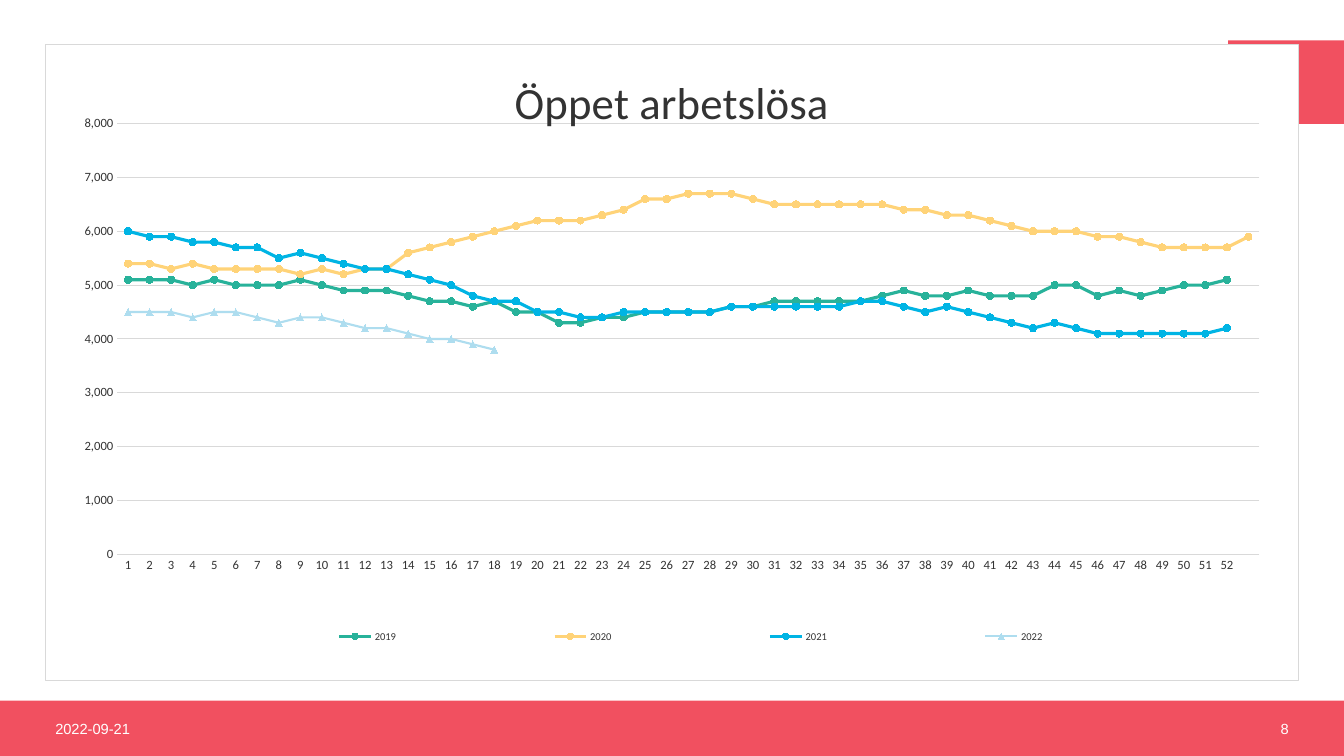
import pptx
import pptx.chart.data
import pptx.dml.color
import pptx.enum.chart
import pptx.enum.shapes
import pptx.enum.text
import pptx.oxml
import pptx.oxml.ns
import pptx.util

SLIDE_W, SLIDE_H = 13.33, 7.5
MARGIN = 0.45
FOOTER_TOP, FOOTER_H = 6.95, 0.55
COLORS = {
    "accent": "F15060", "white": "FFFFFF", "text": "333333", "grid": "D9D9D9",
    "2019": "28B29A", "2020": "FFD378", "2021": "00B4E4", "2022": "AEDDEF",
}
# Open unemployment per week, in hundreds of people
WEEKLY_HUNDREDS = {
    "2019": [51, 51, 51, 50, 51, 50, 50, 50, 51, 50, 49, 49, 49, 48, 47, 47, 46, 47,
             45, 45, 43, 43, 44, 44, 45, 45, 45, 45, 46, 46, 47, 47, 47, 47, 47, 48,
             49, 48, 48, 49, 48, 48, 48, 50, 50, 48, 49, 48, 49, 50, 50, 51],
    "2020": [54, 54, 53, 54, 53, 53, 53, 53, 52, 53, 52, 53, 53, 56, 57, 58, 59, 60,
             61, 62, 62, 62, 63, 64, 66, 66, 67, 67, 67, 66, 65, 65, 65, 65, 65, 65,
             64, 64, 63, 63, 62, 61, 60, 60, 60, 59, 59, 58, 57, 57, 57, 57, 59],
    "2021": [60, 59, 59, 58, 58, 57, 57, 55, 56, 55, 54, 53, 53, 52, 51, 50, 48, 47,
             47, 45, 45, 44, 44, 45, 45, 45, 45, 45, 46, 46, 46, 46, 46, 46, 47, 47,
             46, 45, 46, 45, 44, 43, 42, 43, 42, 41, 41, 41, 41, 41, 41, 42],
    "2022": [45, 45, 45, 44, 45, 45, 44, 43, 44, 44, 43, 42, 42, 41, 40, 40, 39, 38],
}
LABELLED_WEEKS, WEEKS = 52, 53


def rgb(name):
    return pptx.dml.color.RGBColor.from_string(COLORS[name])


def box(left, top, width, height):
    return [pptx.util.Inches(v) for v in (left, top, width, height)]


def set_font(font, size, color="text", face="Calibri"):
    font.size, font.name, font.bold = pptx.util.Pt(size), face, False
    font.color.rgb = rgb(color)


def set_line(line, color, width):
    line.color.rgb = rgb(color)
    line.width = pptx.util.Pt(width)


def add_block(slide, *place):
    block = slide.shapes.add_shape(pptx.enum.shapes.MSO_SHAPE.RECTANGLE, *box(*place))
    block.shadow.inherit = False
    block.fill.solid()
    block.fill.fore_color.rgb = rgb("accent")
    block.line.fill.background()


def add_text(slide, text, place, size=10.5, color="white", face="Arial", align="LEFT"):
    frame = slide.shapes.add_textbox(*box(*place)).text_frame
    frame.word_wrap = True
    frame.vertical_anchor = pptx.enum.text.MSO_ANCHOR.MIDDLE
    paragraph = frame.paragraphs[0]
    paragraph.alignment = getattr(pptx.enum.text.PP_ALIGN, align)
    run = paragraph.add_run()
    run.text = text
    set_font(run.font, size, color, face)


def chart_xml(tag, content):
    namespaces = pptx.oxml.ns.nsdecls("c", "a")
    return pptx.oxml.parse_xml(f"<c:{tag} {namespaces}>{content}</c:{tag}>")


def manual_layout(x, y, w, h, inner=False):
    target = '<c:layoutTarget val="inner"/>' if inner else ""
    modes = '<c:xMode val="edge"/><c:yMode val="edge"/>'
    sizes = "".join(f'<c:{k} val="{v}"/>' for k, v in zip("xywh", (x, y, w, h)))
    return chart_xml("layout", f"<c:manualLayout>{target}{modes}{sizes}</c:manualLayout>")


def place_part(part, index, layout):
    for old in part.findall(pptx.oxml.ns.qn("c:layout")):
        part.remove(old)
    part.insert(index, layout)


def style_axis(axis):
    axis.major_tick_mark = axis.minor_tick_mark = pptx.enum.chart.XL_TICK_MARK.NONE
    set_font(axis.tick_labels.font, 9)


def style_series(series, width, marker, marker_size):
    set_line(series.format.line, series.name, width)
    series.smooth = False
    series.marker.style = getattr(pptx.enum.chart.XL_MARKER_STYLE, marker)
    series.marker.size = marker_size
    series.marker.format.fill.solid()
    series.marker.format.fill.fore_color.rgb = rgb(series.name)
    set_line(series.marker.format.line, series.name, 0.75)


def add_unemployment_chart(slide, title, *place):
    data = pptx.chart.data.CategoryChartData(number_format="#,##0")
    # The last week belongs to 2020 only and carries no label
    data.categories = [str(w) if w <= LABELLED_WEEKS else "" for w in range(1, WEEKS + 1)]
    for year, hundreds in WEEKLY_HUNDREDS.items():
        missing = [None] * (WEEKS - len(hundreds))
        data.add_series(year, [100 * v for v in hundreds] + missing)
    chart = slide.shapes.add_chart(
        pptx.enum.chart.XL_CHART_TYPE.LINE_MARKERS, *box(*place), data).chart
    set_font(chart.font, 10)
    chart.plots[0].vary_by_categories = False

    # Title
    chart.has_title = True
    chart.chart_title.include_in_layout = False
    chart.chart_title.text_frame.text = title
    set_font(chart.chart_title.text_frame.paragraphs[0].runs[0].font, 32)

    # Axes
    weeks, people = chart.category_axis, chart.value_axis
    style_axis(weeks)
    style_axis(people)
    set_line(weeks.format.line, "grid", 0.75)
    people.format.line.fill.background()
    set_line(people.major_gridlines.format.line, "grid", 0.75)
    people.minimum_scale, people.maximum_scale, people.major_unit = 0, 8000, 1000
    people.tick_labels.number_format = "#,##0"
    people.tick_labels.number_format_is_linked = False

    # Lines
    for series in chart.series:
        if series.name == "2022":
            style_series(series, 1.5, "TRIANGLE", 5)
        else:
            style_series(series, 2.25, "CIRCLE", 5)

    # Legend and plot placement, as shares of the chart
    chart.has_legend = True
    chart.legend.position = pptx.enum.chart.XL_LEGEND_POSITION.RIGHT
    chart.legend.include_in_layout = False
    set_font(chart.legend.font, 7.5)
    root = chart.element.find(pptx.oxml.ns.qn("c:chart"))
    place_part(root.find(pptx.oxml.ns.qn("c:legend")), 1, manual_layout(0.11, 0.9, 0.81, 0.06))
    place_part(root.find(pptx.oxml.ns.qn("c:plotArea")), 0,
               manual_layout(0.057, 0.124, 0.912, 0.677, inner=True))

    # Chart background and frame
    fill = '<a:solidFill><a:srgbClr val="{}"/></a:solidFill>'
    root.addnext(chart_xml("spPr", fill.format(COLORS["white"])
                           + f'<a:ln w="9525">{fill.format(COLORS["grid"])}</a:ln>'))


def main():
    deck = pptx.Presentation()
    deck.slide_width = pptx.util.Inches(SLIDE_W)
    deck.slide_height = pptx.util.Inches(SLIDE_H)
    slide = deck.slides.add_slide(deck.slide_layouts[6])

    # Footer band and corner block
    add_block(slide, 0, FOOTER_TOP, SLIDE_W, FOOTER_H)
    add_block(slide, 12.18, 0.4, SLIDE_W - 12.18, 0.83)

    # Date and page number
    add_text(slide, "2022-09-21", (MARGIN, FOOTER_TOP, 3, FOOTER_H))
    add_text(slide, "8", (SLIDE_W - MARGIN - 3, FOOTER_TOP, 3, FOOTER_H), align="RIGHT")

    add_unemployment_chart(slide, "Öppet arbetslösa",
                           MARGIN, 0.44, SLIDE_W - 2 * MARGIN, 6.32)
    deck.save("out.pptx")


if __name__ == "__main__":
    main()
